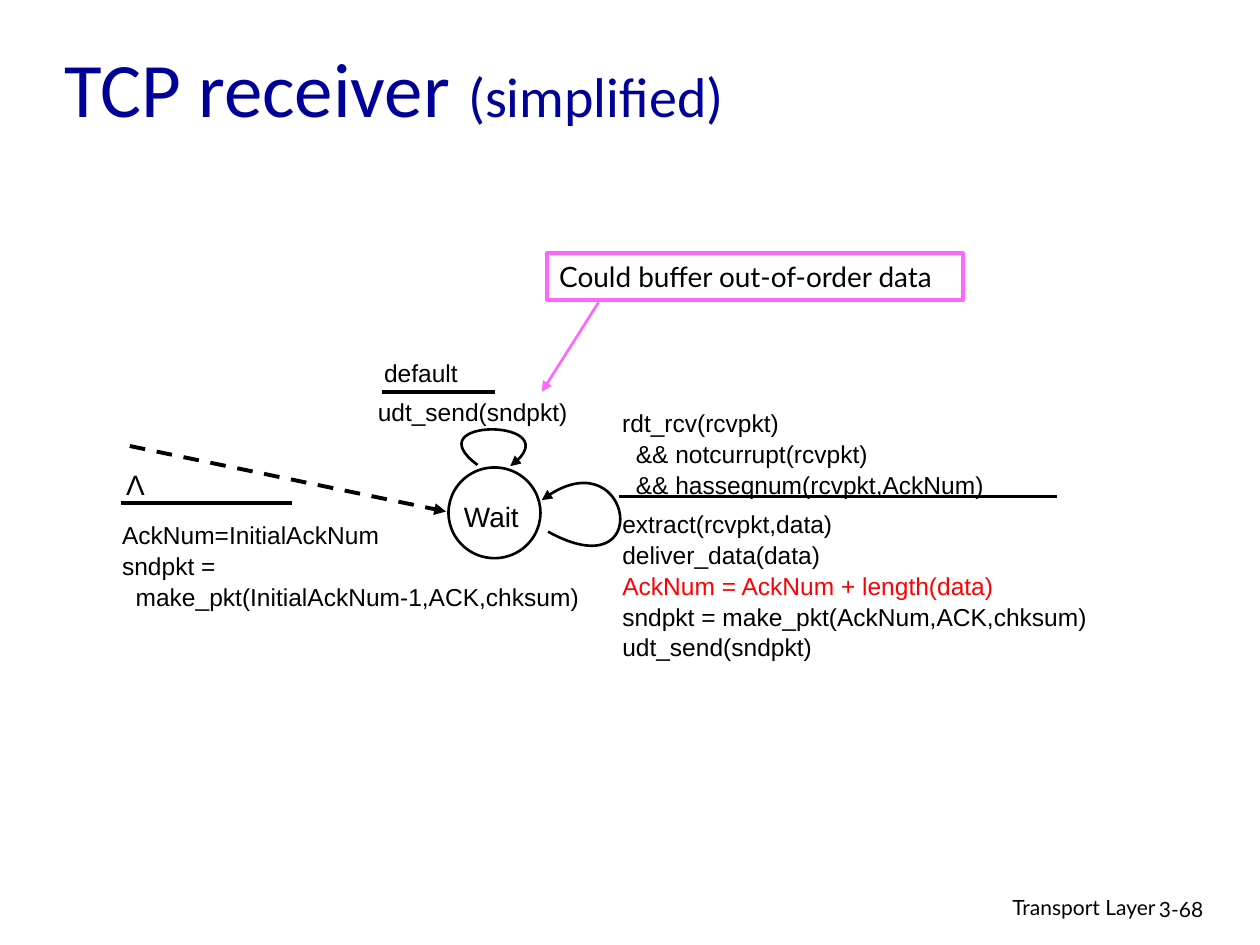
import pptx
import pptx.util
import pptx.dml.color
import pptx.oxml
import pptx.oxml.ns
import pptx.enum.dml
import pptx.enum.shapes
import pptx.enum.text

INK, NAVY, RED, PINK, WHITE = "000000", "000099", "FF0000", "FF66FF", "FFFFFF"
ALIGN = pptx.enum.text.PP_ALIGN
LEFT, MID, RIGHT = ALIGN.LEFT, ALIGN.CENTER, ALIGN.RIGHT

TITLE = [("TCP receiver ", 44), ("(simplified)", 32)]

# box, font, size, alignment, line spacing, lines
TEXTS = [
    ((6.1, 7.05, 3.17, 0.31), "Lato", 12, RIGHT, 1, ["Transport Layer"]),
    ((9.1, 7.07, 0.74, 0.3), "Lato", 12, LEFT, 1, ["3-68"]),
    ((3.46, 3.9, 0.88, 0.26), "Arial", 16, MID, 1.05, ["Wait"]),
    ((2.9, 3.09, 1.77, 0.34), "Arial", 14, LEFT, 1.05, ["udt_send(sndpkt)"]),
    ((2.95, 2.78, 0.79, 0.27), "Arial", 14, LEFT, 1.05, ["default"]),
    ((4.84, 3.18, 3.9, 0.62), "Arial", 14, LEFT, 1.05, [
        "rdt_rcv(rcvpkt)",
        "  && notcurrupt(rcvpkt)",
        "  && hasseqnum(rcvpkt,AckNum)"]),
    ((4.84, 3.98, 4.72, 0.94), "Arial", 14, LEFT, 1.05, [
        "extract(rcvpkt,data)",
        "deliver_data(data)",
        "AckNum = AckNum + length(data)",
        "sndpkt = make_pkt(AckNum,ACK,chksum)",
        "udt_send(sndpkt)"]),
    ((0.87, 4.07, 3.98, 1.07), "Arial", 14, LEFT, 1.05, [
        "AckNum=InitialAckNum",
        "sndpkt =",
        "  make_pkt(InitialAckNum-1,ACK,chksum)"]),
    ((0.9, 3.66, 0.35, 0.37), "Arial", 16, MID, 1, ["Λ"]),
]
RED_LINES = {"AckNum = AckNum + length(data)"}

# start, end, colour, width, dashed, arrow
LINES = [
    ((1.03, 3.54), (3.54, 4.06), INK, 2.25, True, True),
    ((3.03, 3.11), (3.93, 3.11), INK, 2.25, False, False),
    ((4.91, 3.94), (8.39, 3.94), INK, 1.5, False, False),
    ((0.96, 3.99), (2.32, 3.99), INK, 2.25, False, False),
    ((4.75, 2.4), (4.3, 3.11), PINK, 1.5, False, True),
]

# start, two control points, end
LOOPS = [
    [(4.35, 4.22), (5.2, 4.69), (5.01, 3.43), (4.3, 3.97)],
    [(3.79, 3.69), (3.29, 3.32), (4.56, 3.32), (4.05, 3.7)],
]
STATE = (3.56, 3.71, 0.73, 0.72)
NOTE = (4.34, 2.01, 3.3, 0.37)


def inches(nums):
    return [pptx.util.Inches(n) for n in nums]


def paint(color, code):
    color.rgb = pptx.dml.color.RGBColor.from_string(code)


def stroke(shape, code, width):
    paint(shape.line.color, code)
    shape.line.width = pptx.util.Pt(width)


def arrow(shape):
    tip = pptx.oxml.parse_xml(
        '<a:tailEnd %s type="triangle"/>' % pptx.oxml.ns.nsdecls("a"))
    shape._element.spPr.find(pptx.oxml.ns.qn("a:ln")).append(tip)


def style(font, face, size, code):
    font.name, font.size = face, pptx.util.Pt(size)
    paint(font.color, code)


def write(frame, lines, face, size, align, space):
    frame.word_wrap = True
    for i, line in enumerate(lines):
        para = frame.add_paragraph() if i else frame.paragraphs[0]
        para.text, para.alignment, para.line_spacing = line, align, space
        style(para.font, face, size, RED if line in RED_LINES else INK)


def add_line(shapes, start, end, code, width, dashed, tip):
    line = shapes.add_connector(pptx.enum.shapes.MSO_CONNECTOR.STRAIGHT,
                                *inches(start + end))
    stroke(line, code, width)
    if dashed:
        line.line.dash_style = pptx.enum.dml.MSO_LINE.DASH
    if tip:
        arrow(line)
    line._element.spPr.append(pptx.oxml.parse_xml(
        "<a:effectLst %s/>" % pptx.oxml.ns.nsdecls("a")))


def add_loop(shapes, points):
    """Draw one cubic curve: a three-leg outline whose legs become its controls."""
    pen = shapes.build_freeform(*inches(points[0]))
    pen.add_line_segments([inches(p) for p in points[1:]], close=False)
    loop = pen.convert_to_shape()
    legs = loop._element.xpath(".//a:lnTo")
    curve = pptx.oxml.parse_xml(
        "<a:cubicBezTo %s/>" % pptx.oxml.ns.nsdecls("a"))
    legs[0].addprevious(curve)
    for leg in legs:
        curve.append(leg[0])
        leg.getparent().remove(leg)
    loop.fill.background()
    loop.shadow.inherit = False
    stroke(loop, INK, 1.5)
    arrow(loop)


def add_shape(shapes, kind, box, code, width):
    shape = shapes.add_shape(kind, *inches(box))
    shape.shadow.inherit = False
    stroke(shape, code, width)
    return shape


def main():
    deck = pptx.Presentation()
    deck.slide_width, deck.slide_height = inches((10, 7.5))
    slide = deck.slides.add_slide(deck.slide_layouts[5])
    shapes = slide.shapes

    title = shapes.title
    title.left, title.top, title.width, title.height = inches(
        (0.41, 0.2, 8.46, 0.98))
    title.text_frame.vertical_anchor = pptx.enum.text.MSO_ANCHOR.MIDDLE
    para = title.text_frame.paragraphs[0]
    para.alignment = LEFT
    for text, size in TITLE:
        run = para.add_run()
        run.text = text
        style(run.font, "Calibri", size, NAVY)

    kinds = pptx.enum.shapes.MSO_SHAPE
    state = add_shape(shapes, kinds.OVAL, STATE, INK, 1.5)
    state.fill.solid()
    paint(state.fill.fore_color, WHITE)

    for box, face, size, align, space, lines in TEXTS:
        frame = shapes.add_textbox(*inches(box)).text_frame
        write(frame, lines, face, size, align, space)
    for line in LINES:
        add_line(shapes, *line)
    for loop in LOOPS:
        add_loop(shapes, loop)

    note = add_shape(shapes, kinds.RECTANGLE, NOTE, PINK, 2.25)
    note.fill.background()
    write(note.text_frame, ["Could buffer out-of-order data"],
          "Lato", 16, LEFT, 1)

    deck.save("out.pptx")


if __name__ == "__main__":
    main()
